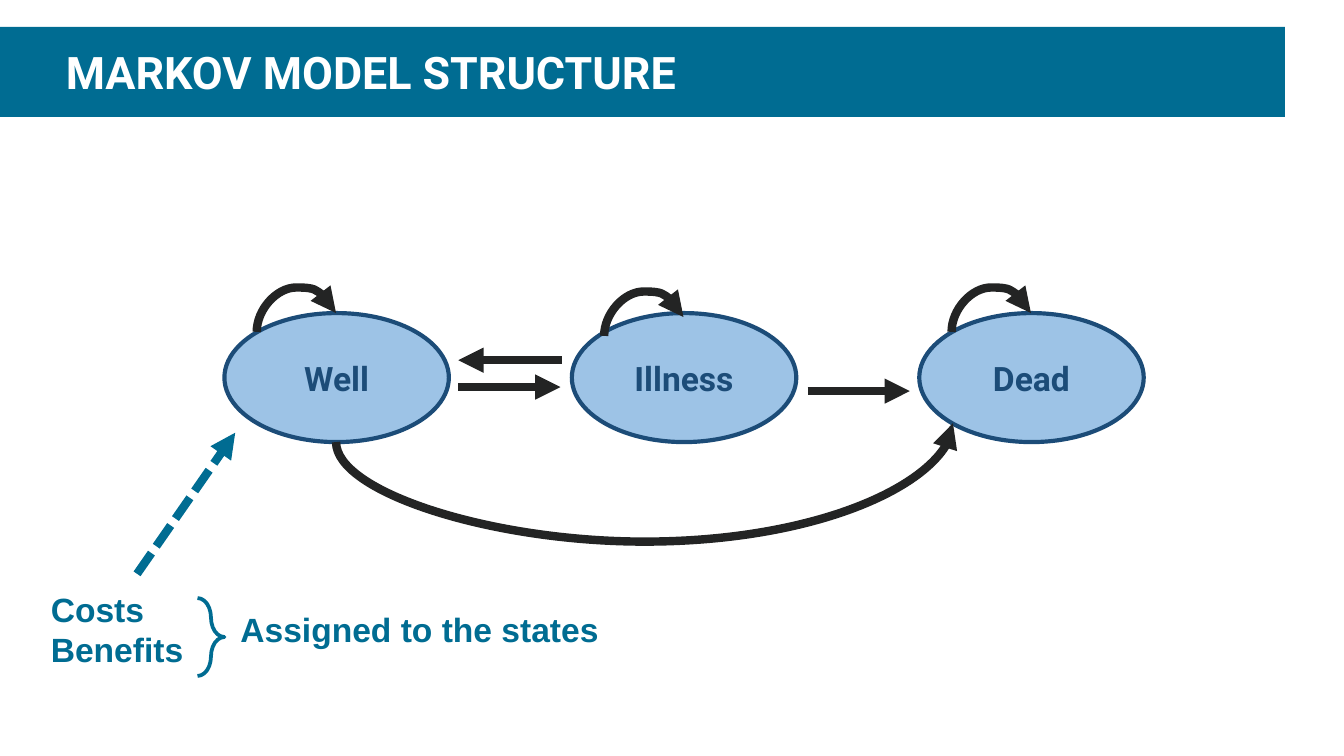
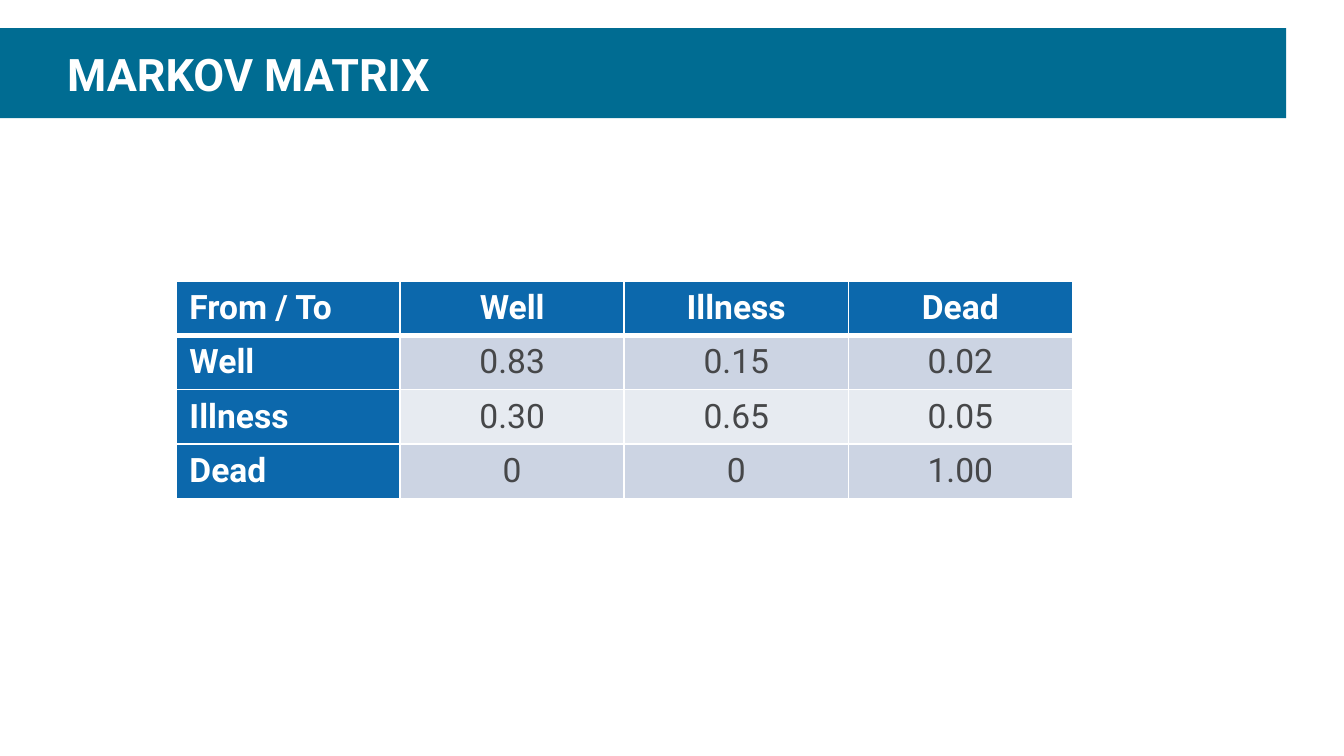
from dataclasses import dataclass

from lxml.etree import SubElement
from pptx import Presentation
from pptx.dml.color import RGBColor
from pptx.enum.dml import MSO_LINE
from pptx.enum.shapes import MSO_CONNECTOR, MSO_SHAPE
from pptx.enum.text import MSO_ANCHOR, MSO_AUTO_SIZE, PP_ALIGN
from pptx.oxml.ns import qn
from pptx.util import Inches, Pt

STATES = ("Well", "Illness", "Dead")


@dataclass(frozen=True)
class Theme:
    teal: str = "006C92"
    white: str = "FFFFFF"
    ink: str = "232424"
    state_fill: str = "9DC3E6"
    state_line: str = "1C4C78"
    header: str = "0C68AC"
    body: str = "464749"
    bands: tuple = ("CCD4E3", "E7EBF1")
    heading_font: str = "Roboto"
    note_font: str = "Arial"
    title_size: int = 24
    text_size: int = 18


def rgb(color):
    return RGBColor.from_string(color)


def write_text(tf, text, *, font, size, color, bold=True, align=PP_ALIGN.LEFT):
    """Fill a text frame, one paragraph for each line of text."""
    for i, line in enumerate(text.split("\n")):
        p = tf.add_paragraph() if i else tf.paragraphs[0]
        p.alignment = align
        r = p.add_run()
        r.text = line
        r.font.name, r.font.size, r.font.bold = font, Pt(size), bold
        r.font.color.rgb = rgb(color)


class Deck:
    def __init__(self, theme):
        self.theme = theme
        self.prs = Presentation()
        # Widescreen, 16 to 9
        self.prs.slide_width = Inches(10)
        self.prs.slide_height = Inches(10 * 9 / 16)
        self.s = None

    def slide(self, title, left, top):
        """Start a slide with its title band."""
        t = self.theme
        self.s = self.prs.slides.add_slide(self.prs.slide_layouts[6])
        sp = self.shape(MSO_SHAPE.RECTANGLE, left, top, 9.57, 0.67, fill=t.teal)
        tf = sp.text_frame
        tf.margin_left = Inches(0.5)
        tf.margin_top = tf.margin_right = tf.margin_bottom = 0
        write_text(tf, title, font=t.heading_font, size=t.title_size, color=t.white)

    def shape(self, kind, x, y, w, h, fill=None, line=None, width=1):
        sp = self.s.shapes.add_shape(kind, Inches(x), Inches(y), Inches(w), Inches(h))
        sp.shadow.inherit = False
        if fill:
            sp.fill.solid()
            sp.fill.fore_color.rgb = rgb(fill)
        else:
            sp.fill.background()
        if line:
            sp.line.color.rgb = rgb(line)
            sp.line.width = Pt(width)
        else:
            sp.line.fill.background()
        sp.text_frame.word_wrap = True
        sp.text_frame.vertical_anchor = MSO_ANCHOR.MIDDLE
        return sp

    def state(self, name, x, y):
        t = self.theme
        sp = self.shape(MSO_SHAPE.OVAL, x, y, 1.67, 0.96,
                        fill=t.state_fill, line=t.state_line, width=2.25)
        write_text(sp.text_frame, name, font=t.heading_font, size=t.text_size,
                   color=t.state_line, align=PP_ALIGN.CENTER)

    def note(self, text, x, y, w, h):
        t = self.theme
        tf = self.s.shapes.add_textbox(Inches(x), Inches(y), Inches(w), Inches(h)).text_frame
        tf.word_wrap = False
        tf.auto_size = MSO_AUTO_SIZE.SHAPE_TO_FIT_TEXT
        write_text(tf, text, font=t.note_font, size=t.text_size, color=t.teal)

    def arrow(self, start, end, color=None, dash=None, kind=MSO_CONNECTOR.STRAIGHT):
        c = self.s.shapes.add_connector(kind, *map(Inches, start + end))
        c.line.color.rgb = rgb(color or self.theme.ink)
        c.line.width = Pt(4.5)
        if dash:
            c.line.dash_style = dash
        sp_pr = c._element.spPr
        SubElement(sp_pr.find(qn("a:ln")), qn("a:tailEnd"), type="triangle")
        SubElement(sp_pr, qn("a:effectLst"))
        return c

    def arc(self, start, end, bend_y):
        """Curved arrow from start to end that turns at height bend_y."""
        (x1, y1), (x2, y2) = start, end
        cx, cy = (x1 + x2) / 2, (y1 + y2) / 2
        dx, dy = (x2 - x1) / 2, (y1 - y2) / 2
        # Laid out on its side, then turned a quarter clockwise
        c = self.arrow((cx + dy, cy + dx), (cx - dy, cy - dx), kind=MSO_CONNECTOR.CURVE)
        sp_pr = c._element.spPr
        sp_pr.find(qn("a:xfrm")).set("rot", "5400000")
        geom = sp_pr.find(qn("a:prstGeom"))
        av = geom.find(qn("a:avLst"))
        if av is None:
            av = SubElement(geom, qn("a:avLst"))
        bend = round((y1 - bend_y) / (y1 - y2) * 100000)
        SubElement(av, qn("a:gd"), name="adj1", fmla=f"val {bend}")

    def border(self, cell, side, width):
        ln = SubElement(cell._tc.get_or_add_tcPr(), qn(f"a:ln{side}"), w=str(Pt(width)))
        fill = SubElement(ln, qn("a:solidFill"))
        SubElement(fill, qn("a:srgbClr"), val=self.theme.white)

    def table(self, rows, x, y, w, h):
        t = self.theme
        n_rows, n_cols = len(rows), len(rows[0])
        tbl = self.s.shapes.add_table(
            n_rows, n_cols, Inches(x), Inches(y), Inches(w), Inches(h)).table
        for i, row in enumerate(rows):
            for j, text in enumerate(row):
                cell = tbl.cell(i, j)
                head = i == 0 or j == 0
                # The rule under the header row is the heavy one
                heavy = {0: "B", 1: "T"}.get(i)
                for side in "LRTB":
                    self.border(cell, side, 3 if side == heavy else 1)
                cell.fill.solid()
                cell.fill.fore_color.rgb = rgb(t.header if head else t.bands[(i - 1) % 2])
                cell.vertical_anchor = MSO_ANCHOR.MIDDLE
                write_text(cell.text_frame, text, font=t.heading_font, size=t.text_size,
                           color=t.white if head else t.body, bold=head,
                           align=PP_ALIGN.CENTER if j else PP_ALIGN.LEFT)


def model_slide(deck):
    deck.slide("MARKOV MODEL STRUCTURE", -0.01, 0.2)

    # States, each with an arrow back to itself
    left, right, top = 1.67, 6.84, 2.33
    pitch = (right - left) / (len(STATES) - 1)
    for i, name in enumerate(STATES):
        x = left + i * pitch
        deck.state(name, x, top)
        drop = 0.03 if name == "Illness" else 0
        deck.arc((x + 0.24, top + 0.14 + drop), (x + 0.83, top + drop), top - 0.19 + drop)

    # Moves between states
    deck.arrow((3.41, 2.88), (4.17, 2.88))
    deck.arrow((4.18, 2.68), (3.41, 2.68))
    deck.arrow((6.01, 2.91), (6.77, 2.91))
    deck.arc((2.5, 3.29), (7.09, 3.15), 4.03)

    # Costs and benefits
    teal = deck.theme.teal
    deck.note("Costs\nBenefits", 0.28, 4.33, 1.2, 0.71)
    deck.arrow((1.02, 4.27), (1.75, 3.22), color=teal, dash=MSO_LINE.SQUARE_DOT)
    brace = deck.shape(MSO_SHAPE.RIGHT_BRACE, 1.47, 4.45, 0.2, 0.58, line=teal, width=2)
    brace.adjustments[0] = 1.14
    deck.note("Assigned to the states", 1.69, 4.48, 2.89, 0.4)


def matrix_slide(deck):
    deck.slide("MARKOV MATRIX", 0, 0.21)
    chances = [("0.83", "0.15", "0.02"), ("0.30", "0.65", "0.05"), ("0", "0", "1.00")]
    rows = [("From / To", *STATES)]
    rows += [(name, *values) for name, values in zip(STATES, chances)]
    deck.table(rows, 1.31, 2.09, 6.67, 1.62)


def main():
    deck = Deck(Theme())
    model_slide(deck)
    matrix_slide(deck)
    deck.prs.save("out.pptx")


if __name__ == "__main__":
    main()
